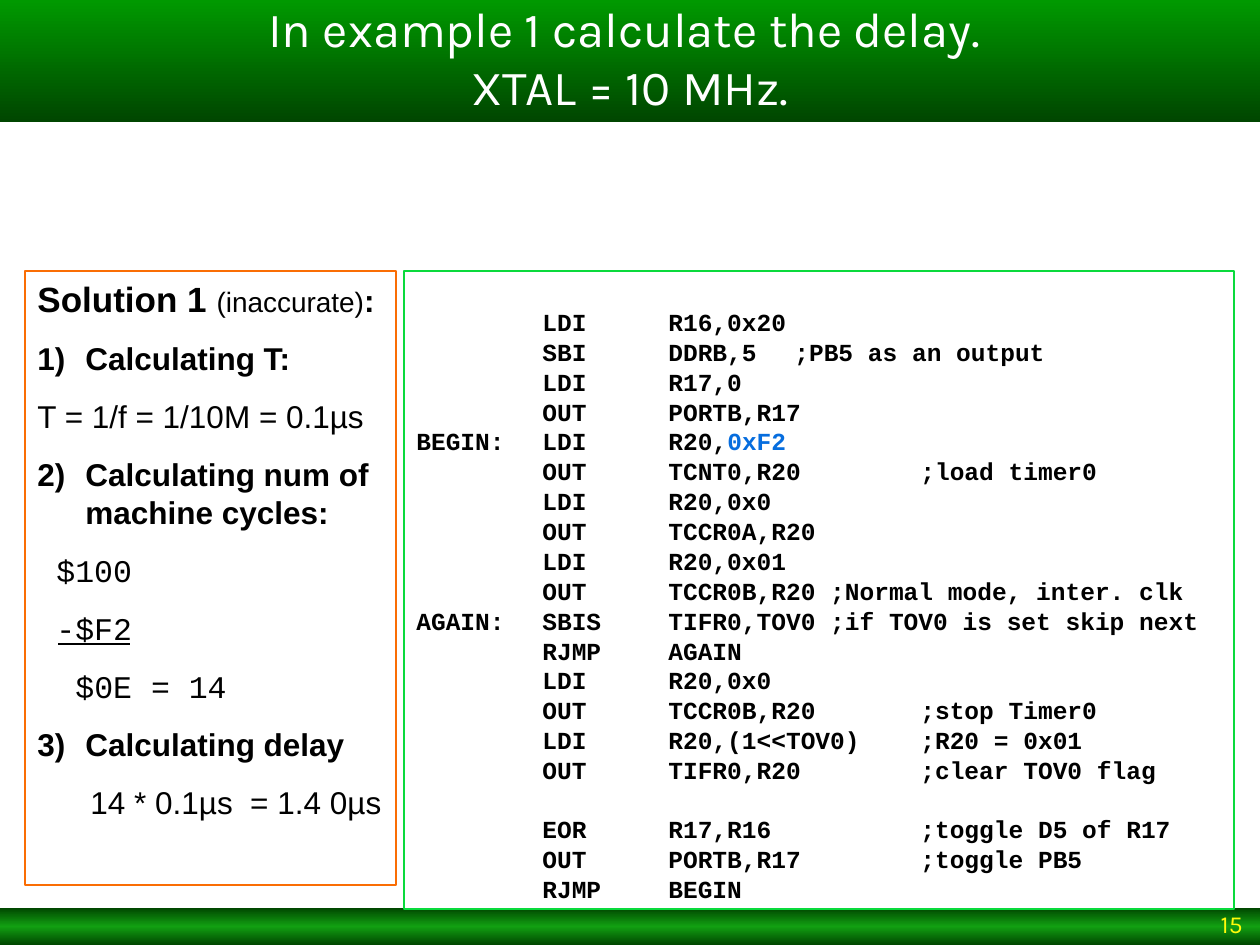
from dataclasses import dataclass

from lxml import etree
from pptx import Presentation
from pptx import util as u
from pptx.dml.color import RGBColor
from pptx.enum import shapes, text
from pptx.oxml import parse_xml
from pptx.oxml.ns import nsdecls, qn


@dataclass(frozen=True)
class Theme:
    black: str = "000000"
    white: str = "FFFFFF"
    yellow: str = "FFFB0B"
    blue: str = "066DDE"
    light_green: str = "009900"
    footer_green: str = "12A012"
    dark_green: str = "004600"
    code_border: str = "0ADA3C"
    solution_border: str = "FA6D04"
    heading_font: str = "Karla"
    body_font: str = "Arial"
    code_font: str = "Courier New"
    title_size: int = 28
    solution_size: int = 20
    body_size: int = 18
    note_size: int = 16
    code_size: int = 14
    leading: float = 1.2
    step_gap: float = 11.5


THEME = Theme()

TITLE = ["In example 1 calculate the delay. ", "XTAL = 10 MHz."]
PAGE_NUMBER = "15"
HIGHLIGHT = "0xF2"
TAB_STOPS = [126 * column for column in range(1, 7)]
CODE_BLOCKS = [
    [
        "\tLDI\tR16,0x20",
        "\tSBI\tDDRB,5\t;PB5 as an output",
        "\tLDI\tR17,0",
        "\tOUT\tPORTB,R17",
        "BEGIN:\tLDI\tR20,0xF2",
        "\tOUT\tTCNT0,R20\t;load timer0",
        "\tLDI\tR20,0x0",
        "\tOUT\tTCCR0A,R20",
        "\tLDI\tR20,0x01",
        "\tOUT\tTCCR0B,R20 ;Normal mode, inter. clk",
        "AGAIN:\tSBIS\tTIFR0,TOV0 ;if TOV0 is set skip next",
        "\tRJMP\tAGAIN",
        "\tLDI\tR20,0x0",
        "\tOUT\tTCCR0B,R20\t;stop Timer0",
        "\tLDI\tR20,(1<<TOV0)\t;R20 = 0x01",
        "\tOUT\tTIFR0,R20\t;clear TOV0 flag",
    ],
    [
        "\tEOR\tR17,R16\t\t;toggle D5 of R17",
        "\tOUT\tPORTB,R17\t;toggle PB5",
        "\tRJMP\tBEGIN",
    ],
]
SOLUTION_HEADING = [
    ("Solution 1 ", THEME.solution_size, True),
    ("(inaccurate)", THEME.note_size, False),
    (":", THEME.body_size, True),
]
SOLUTION_STEPS = [
    ("step", "Calculating T:", 48),
    ("math", "T = 1/f = 1/10M = 0.1µs", 0),
    ("step", "Calculating num of machine cycles:", 48),
    ("code", "$100", 19),
    ("code", "-$F2", 19),
    ("code", "$0E = 14", 38),
    ("step", "Calculating delay", 48),
    ("math", "14 * 0.1µs  = 1.4 0µs", 53),
]


def px(value):
    return u.Emu(round(value * 914400 / 126))


def add_box(slide, left, top, width, height, border=None, stops=None):
    shape = slide.shapes.add_shape(
        shapes.MSO_SHAPE.RECTANGLE, px(left), px(top), px(width), px(height))
    shape.shadow.inherit = False
    shape.fill.background()
    if border:
        shape.line.color.rgb = RGBColor.from_string(border)
        shape.line.width = u.Pt(0.75)
    else:
        shape.line.fill.background()
    if stops:
        colours = "".join(
            f'<a:gs pos="{position * 1000}"><a:srgbClr val="{colour}"/></a:gs>'
            for position, colour in stops)
        gradient = parse_xml(
            f'<a:gradFill {nsdecls("a")}><a:gsLst>{colours}</a:gsLst>'
            '<a:lin ang="5400000" scaled="0"/></a:gradFill>')
        properties = shape.element.spPr
        properties.replace(properties.find(qn("a:noFill")), gradient)
    frame = shape.text_frame
    frame.word_wrap = True
    frame.vertical_anchor = text.MSO_ANCHOR.TOP
    return frame


def start_paragraph(frame, first, size, align=text.PP_ALIGN.LEFT, before=0):
    paragraph = frame.paragraphs[0] if first else frame.add_paragraph()
    paragraph.alignment = align
    paragraph.line_spacing = u.Pt(round(size * THEME.leading, 2))
    paragraph.space_before = u.Pt(0 if first else before)
    return paragraph


def add_run(paragraph, content, font, size, colour=THEME.black, bold=False):
    run = paragraph.add_run()
    run.text = content
    run.font.name = font
    run.font.size = u.Pt(size)
    run.font.bold = bold
    run.font.color.rgb = RGBColor.from_string(colour)


def add_tab_stops(paragraph):
    tabs = etree.SubElement(paragraph._p.get_or_add_pPr(), qn("a:tabLst"))
    for stop in TAB_STOPS:
        etree.SubElement(tabs, qn("a:tab"), pos=str(px(stop)), algn="l")


def add_code(slide):
    frame = add_box(slide, 404, 271, 830, 638, THEME.code_border)
    frame.margin_top = px(36)
    blank_line = THEME.code_size * THEME.leading
    for block_index, block in enumerate(CODE_BLOCKS):
        for line_index, line in enumerate(block):
            first = block_index == line_index == 0
            before = 0.25 + (blank_line if line_index == 0 else 0)
            paragraph = start_paragraph(frame, first, THEME.code_size, before=before)
            add_tab_stops(paragraph)
            plain, marked, _ = line.partition(HIGHLIGHT)
            for content, colour in ((plain, THEME.black), (marked, THEME.blue)):
                if content:
                    add_run(paragraph, content, THEME.code_font,
                            THEME.code_size, colour, True)


def add_solution(slide):
    frame = add_box(slide, 25, 271, 371, 614, THEME.solution_border)
    paragraph = start_paragraph(frame, True, THEME.solution_size)
    for content, size, bold in SOLUTION_HEADING:
        add_run(paragraph, content, THEME.body_font, size, bold=bold)
    number = 0
    for kind, content, indent in SOLUTION_STEPS:
        paragraph = start_paragraph(
            frame, False, THEME.body_size, before=THEME.step_gap)
        properties = paragraph._p.get_or_add_pPr()
        properties.set("marL", str(px(indent)))
        if kind == "step":
            number += 1
            properties.set("indent", str(-px(indent)))
            etree.SubElement(properties, qn("a:buFont"), typeface=THEME.body_font)
            etree.SubElement(properties, qn("a:buAutoNum"),
                             type="arabicParenR", startAt=str(number))
        font = THEME.code_font if kind == "code" else THEME.body_font
        add_run(paragraph, content, font, THEME.body_size, bold=kind == "step")
    rule = slide.shapes.add_connector(
        shapes.MSO_CONNECTOR.STRAIGHT, px(130), px(644), px(58), px(644))
    rule.line.color.rgb = RGBColor.from_string(THEME.black)
    rule.line.width = u.Pt(0.75)
    etree.SubElement(rule.element.spPr, qn("a:effectLst"))


def add_title(slide):
    frame = add_box(slide, 0, 0, 1260, 122,
                    stops=[(0, THEME.light_green), (100, THEME.dark_green)])
    frame.vertical_anchor = text.MSO_ANCHOR.BOTTOM
    paragraph = start_paragraph(
        frame, True, THEME.title_size, text.PP_ALIGN.CENTER)
    for index, line in enumerate(TITLE):
        if index:
            paragraph.add_line_break()
        add_run(paragraph, line, THEME.heading_font, THEME.title_size, THEME.white)


def add_page_number(slide):
    box = slide.shapes.add_textbox(px(987), px(910), px(268), px(35))
    frame = box.text_frame
    frame.word_wrap = True
    frame.vertical_anchor = text.MSO_ANCHOR.BOTTOM
    paragraph = start_paragraph(
        frame, True, THEME.code_size, text.PP_ALIGN.RIGHT)
    add_run(paragraph, PAGE_NUMBER, THEME.heading_font,
            THEME.code_size, THEME.yellow)


def main():
    presentation = Presentation()
    presentation.slide_width, presentation.slide_height = px(1260), px(945)
    slide = presentation.slides.add_slide(presentation.slide_layouts[6])
    add_box(slide, 0, 908, 1260, 37, stops=[
        (0, THEME.dark_green), (50, THEME.footer_green), (100, THEME.dark_green)])
    add_code(slide)
    add_solution(slide)
    add_title(slide)
    add_page_number(slide)
    presentation.save("out.pptx")


if __name__ == "__main__":
    main()
